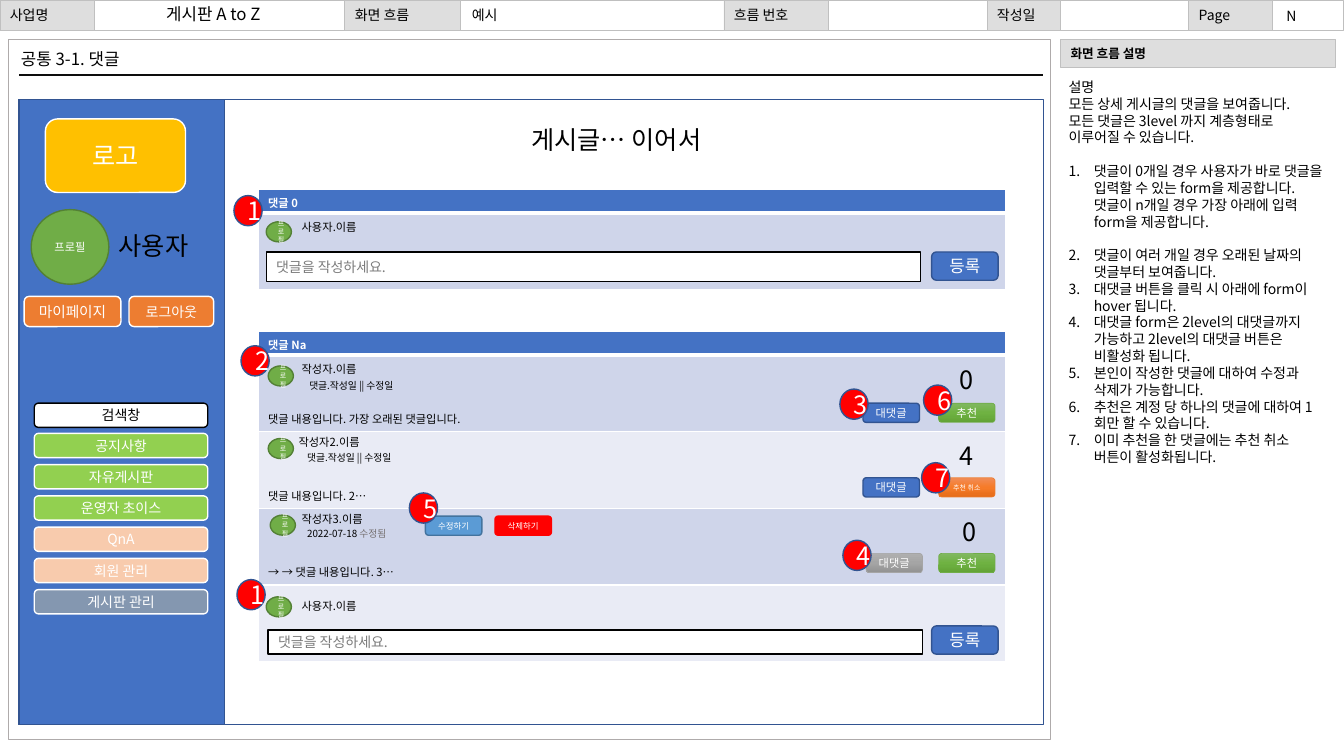
from lxml import etree
from pptx import Presentation
from pptx.dml.color import RGBColor
from pptx.enum.shapes import MSO_CONNECTOR, MSO_SHAPE
from pptx.enum.text import MSO_ANCHOR, PP_ALIGN
from pptx.oxml import parse_xml
from pptx.oxml.ns import nsdecls, qn
from pptx.util import Inches, Pt

RECT, ROUND, OVAL = MSO_SHAPE.RECTANGLE, MSO_SHAPE.ROUNDED_RECTANGLE, MSO_SHAPE.OVAL
STRAIGHT = MSO_CONNECTOR.STRAIGHT
LEFT, CENTER, RIGHT = PP_ALIGN.LEFT, PP_ALIGN.CENTER, PP_ALIGN.RIGHT
TOP, MIDDLE, BOTTOM = MSO_ANCHOR.TOP, MSO_ANCHOR.MIDDLE, MSO_ANCHOR.BOTTOM

BLACK = RGBColor(0x00, 0x00, 0x00)
WHITE = RGBColor(0xFF, 0xFF, 0xFF)
RULE = RGBColor(0x0D, 0x0D, 0x0D)
LABEL = RGBColor(0xDE, 0xDE, 0xDE)
LABEL_EDGE = RGBColor(0xC0, 0xC0, 0xC0)
BAR_EDGE = RGBColor(0xBF, 0xBF, 0xBF)
FRAME_EDGE = RGBColor(0xAF, 0xAB, 0xAB)
BLUE = RGBColor(0x44, 0x72, 0xC4)
NAVY = RGBColor(0x32, 0x54, 0x91)
GREEN = RGBColor(0x70, 0xAD, 0x47)
DARK_GREEN = RGBColor(0x53, 0x80, 0x35)
LIME = RGBColor(0x92, 0xD0, 0x50)
ORANGE = RGBColor(0xED, 0x7D, 0x31)
PEACH = RGBColor(0xF8, 0xCB, 0xAD)
SLATE = RGBColor(0x84, 0x97, 0xB0)
GOLD = RGBColor(0xFF, 0xC0, 0x00)
RED = RGBColor(0xFF, 0x00, 0x00)
SKY = RGBColor(0x5B, 0x9B, 0xD5)
SKY_EDGE = RGBColor(0x43, 0x73, 0x9E)
GRAY = RGBColor(0xA5, 0xA5, 0xA5)
HINT = RGBColor(0x7C, 0x7C, 0x7C)
EDITED = RGBColor(0x76, 0x71, 0x71)
BAND_DARK = RGBColor(0xCF, 0xD5, 0xEA)
BAND_LIGHT = RGBColor(0xE9, 0xEB, 0xF5)
GREEN_FADE = ["81B861", "6FB242", "62A336"]
ORANGE_FADE = ["F18C57", "F67B28", "E56C19"]
GRAY_FADE = ["AFAFAF", "A5A5A5", "939393"]


class Wireframe:
    font = "Noto Sans CJK KR"

    def __init__(self, slide):
        self.slide = slide

    def area(self, at):
        return [Inches(length) for length in at]

    def put(self, paragraph, text, size, color=BLACK, bold=False, align=LEFT):
        paragraph.alignment = align
        run = paragraph.add_run()
        run.text = text
        formats = {"name": self.font, "size": Pt(size), "bold": bold}
        for key, value in formats.items():
            setattr(run.font, key, value)
        run.font.color.rgb = color
        east_asian = etree.SubElement(run.font._element, qn("a:ea"))
        east_asian.set("typeface", self.font)

    def text(self, at, text, size, align=LEFT, anchor=TOP, shapes=None):
        frame = (shapes or self.slide.shapes).add_textbox(*self.area(at)).text_frame
        frame.word_wrap = True
        frame.vertical_anchor = anchor
        self.put(frame.paragraphs[0], text, size, align=align)
        return frame

    def shape(self, kind, at, fill, edge, text="", size=10, color=WHITE,
              weight=1, align=CENTER, bold=False, shapes=None):
        shape = (shapes or self.slide.shapes).add_shape(kind, *self.area(at))
        shape.shadow.inherit = False
        if isinstance(fill, list):
            self.fade(shape, fill)
        elif fill is None:
            shape.fill.background()
        else:
            shape.fill.solid()
            shape.fill.fore_color.rgb = fill
        shape.line.color.rgb = edge
        shape.line.width = Pt(weight)
        if text:
            shape.text_frame.vertical_anchor = MIDDLE
            self.put(shape.text_frame.paragraphs[0], text, size, color, bold, align)

    def fade(self, shape, stops):
        shape.fill.gradient()
        shape.fill.gradient_angle = 270
        stop_list = shape._element.spPr.find(qn("a:gradFill")).find(qn("a:gsLst"))
        for old in list(stop_list):
            stop_list.remove(old)
        for index, color in enumerate(stops):
            stop = etree.SubElement(stop_list, qn("a:gs"), pos=str(index * 50000))
            etree.SubElement(stop, qn("a:srgbClr"), val=color)

    def title(self, at, text, size):
        title = self.slide.shapes.title
        title.left, title.top, title.width, title.height = self.area(at)
        title.text_frame.vertical_anchor = MIDDLE
        paragraph = title.text_frame.paragraphs[0]
        paragraph.line_spacing = 0.9
        self.put(paragraph, text, size)

    def line(self, start, end, color, weight):
        line = self.slide.shapes.add_connector(STRAIGHT, *self.area(start + end))
        line.line.color.rgb = color
        line.line.width = Pt(weight)
        etree.SubElement(line._element.spPr, qn("a:effectLst"))

    def author(self, name_at, profile_at, name):
        shapes = self.slide.shapes.add_group_shape().shapes
        self.text((*name_at, 1.73, 0.24), name, 8, CENTER, shapes=shapes)
        self.shape(OVAL, (*profile_at, 0.25, 0.2), GREEN, DARK_GREEN, "프로필", 5, shapes=shapes)

    def comments(self, at, heading, rows):
        height = 0.23 + 0.76 * len(rows)
        table = self.slide.shapes.add_table(len(rows) + 1, 1, *self.area((*at, 7.41, height))).table
        for index, text in enumerate([heading, *rows]):
            header = index == 0
            table.rows[index].height = Inches(0.23 if header else 0.76)
            cell = table.cell(index, 0)
            cell.vertical_anchor = TOP if header else BOTTOM
            if text:
                self.put(cell.text_frame.paragraphs[0], text, 8, WHITE if header else BLACK, header)
            for side in ("L", "R", "T", "B"):
                thick = header and side == "B" or index == 1 and side == "T"
                cell._tc.get_or_add_tcPr().append(parse_xml(
                    f'<a:ln{side} {nsdecls("a")} w="{Pt(3 if thick else 1)}"><a:solidFill>'
                    f'<a:srgbClr val="{WHITE}"/></a:solidFill></a:ln{side}>'))
            cell.fill.solid()
            cell.fill.fore_color.rgb = BLUE if header else (BAND_LIGHT, BAND_DARK)[index % 2]

    def numbered(self, frame, items, size):
        for index, item in enumerate(items):
            paragraph = frame.add_paragraph()
            if index < 2:
                paragraph.space_before = Pt(12)
            self.put(paragraph, item, size)
            properties = paragraph._p.get_or_add_pPr()
            properties.set("marL", str(Inches(0.25)))
            properties.set("indent", str(-Inches(0.25)))
            etree.SubElement(properties, qn("a:buFont"), typeface="+mj-lt")
            etree.SubElement(properties, qn("a:buAutoNum"), type="arabicPeriod")


def main():
    deck = Presentation()
    deck.slide_width, deck.slide_height = Inches(13.33), Inches(7.5)
    page = Wireframe(deck.slides.add_slide(deck.slide_layouts[5]))

    page.shape(RECT, (-0.01, 0, 13.33, 0.3), None, BAR_EDGE, weight=0.5)
    for left, width, label in ((0, 0.94, "사업명"), (3.42, 1.15, "화면 흐름"), (9.79, 0.73, "작성일"),
                               (7.18, 1.04, "흐름 번호"), (11.79, 0.83, "Page")):
        page.shape(RECT, (left, 0, width, 0.3), LABEL, LABEL_EDGE, label, 10, BLACK, 0.5, LEFT)
    page.shape(RECT, (0.08, 0.39, 10.34, 6.95), None, FRAME_EDGE, weight=0.75)
    page.shape(RECT, (10.52, 0.39, 2.73, 0.28), LABEL, LABEL_EDGE, "화면 흐름 설명", 9, BLACK, 0.75, LEFT, True)
    page.text((12.66, 0, 0.62, 0.31), "N", 10, anchor=MIDDLE)
    page.title((4.58, 0, 2.6, 0.31), "예시", 10)

    description = page.text((10.5, 0.73, 2.73, 4.14), "설명", 10)
    for sentence in ("모든 상세 게시글의 댓글을 보여줍니다.",
                     "모든 댓글은 3level 까지 계층형태로 이루어질 수 있습니다."):
        page.put(description.add_paragraph(), sentence, 10)
    page.numbered(description, (
        "댓글이 0개일 경우 사용자가 바로 댓글을 입력할 수 있는 form을 제공합니다. "
        "댓글이 n개일 경우 가장 아래에 입력 form을 제공합니다.",
        "댓글이 여러 개일 경우 오래된 날짜의 댓글부터 보여줍니다.",
        "대댓글 버튼을 클릭 시 아래에 form이 hover 됩니다.",
        "대댓글 form은 2level의 대댓글까지 가능하고 2level의 대댓글 버튼은 비활성화 됩니다.",
        "본인이 작성한 댓글에 대하여 수정과 삭제가 가능합니다.",
        "추천은 계정 당 하나의 댓글에 대하여 1회만 할 수 있습니다.",
        "이미 추천을 한 댓글에는 추천 취소 버튼이 활성화됩니다."), 10)

    page.text((0.11, 0.43, 3.38, 0.3), "공통 3-1. 댓글", 12)
    page.line((0.19, 0.74), (10.34, 0.74), RULE, 1.5)
    page.text((1.55, -0.01, 1.25, 0.3), "게시판 A to Z", 12)

    page.shape(RECT, (0.19, 0.99, 10.16, 6.2), WHITE, NAVY)
    page.shape(RECT, (0.19, 0.99, 2.04, 6.2), BLUE, NAVY)
    page.text((1.08, 2.24, 0.96, 0.4), "사용자", 18)
    page.shape(OVAL, (0.31, 2.08, 0.77, 0.74), GREEN, DARK_GREEN, "프로필", 8)
    page.shape(ROUND, (1.28, 2.94, 0.84, 0.3), ORANGE, WHITE, "로그아웃", 10)
    page.shape(ROUND, (0.24, 2.94, 0.96, 0.3), ORANGE, WHITE, "마이페이지", 10.5)
    page.shape(ROUND, (0.45, 1.18, 1.39, 0.73), GOLD, WHITE, "로고", 18)
    page.shape(ROUND, (0.34, 4, 1.72, 0.24), WHITE, BLACK, "검색창", 10, BLACK)
    menu = (("공지사항", LIME), ("자유게시판", LIME), ("운영자 초이스", LIME),
            ("QnA", PEACH), ("회원 관리", PEACH), ("게시판 관리", SLATE))
    for index, (label, fill) in enumerate(menu):
        page.shape(ROUND, (0.34, 4.3 + 0.31 * index, 1.72, 0.24), fill, WHITE, label, 10)

    page.text((5.17, 1.18, 2.29, 0.4), "게시글… 이어서", 18)
    page.comments((2.56, 1.88), "댓글 0", [""])
    page.comments((2.56, 3.29), "댓글 Na", [
        "댓글 내용입니다. 가장 오래된 댓글입니다.", "댓글 내용입니다. 2…", "→ → 댓글 내용입니다. 3…", ""])
    for name_at, profile_at, name in (
            ((2.4, 2.14), (2.64, 2.2), "사용자.이름"), ((2.4, 3.55), (2.66, 3.63), "작성자.이름"),
            ((2.4, 4.27), (2.66, 4.35), "작성자2.이름"), ((2.43, 5.03), (2.68, 5.11), "작성자3.이름"),
            ((2.4, 5.9), (2.64, 5.92), "사용자.이름")):
        page.author(name_at, profile_at, name)
    for left, top in ((2.27, 3.72), (2.25, 4.43)):
        page.text((left, top, 1.73, 0.22), "댓글.작성일 || 수정일", 7, RIGHT)
    dates = page.text((2.2, 5.19, 1.73, 0.22), "2022-07-18 ", 7, RIGHT)
    page.put(dates.paragraphs[0], "수정됨", 7, EDITED, align=RIGHT)

    for left, top, height, button_top in ((2.64, 2.5, 0.29, 2.5), (2.66, 6.25, 0.24, 6.21)):
        page.shape(RECT, (left, top, 6.49, height), WHITE, BLACK, "댓글을 작성하세요.", 10, HINT, align=LEFT)
        page.shape(ROUND, (9.24, button_top, 0.66, 0.28), BLUE, NAVY, "등록", 12)
    for left, top, votes in ((9.42, 3.57, "0"), (9.42, 4.32, "4"), (9.45, 5.07, "0")):
        page.text((left, top, 0.34, 0.4), votes, 18)
    for left, top, fill, edge, label, size, weight in (
            (8.56, 4, BLUE, NAVY, "대댓글", 8, 1), (9.31, 4, GREEN_FADE, GREEN, "추천", 8, 0.5),
            (8.56, 4.74, BLUE, NAVY, "대댓글", 8, 1), (9.31, 4.74, ORANGE_FADE, ORANGE, "추천 취소", 5, 0.5),
            (8.59, 5.49, GRAY_FADE, GRAY, "대댓글", 8, 0.5), (9.31, 5.49, GREEN_FADE, GREEN, "추천", 8, 0.5),
            (4.22, 5.12, SKY, SKY_EDGE, "수정하기", 6, 1), (4.91, 5.12, RED, RED, "삭제하기", 6, 1)):
        page.shape(ROUND, (left, top, 0.56, 0.19), fill, edge, label, size, weight=weight)
    for left, top, number in ((2.32, 1.94, "1"), (2.35, 5.75, "1"), (2.39, 3.43, "2"), (8.33, 3.86, "3"),
                              (8.36, 5.36, "4"), (4.06, 4.89, "5"), (9.16, 3.82, "6"), (9.14, 4.59, "7")):
        page.shape(OVAL, (left, top, 0.28, 0.3), RED, NAVY, number, 18)

    deck.save("out.pptx")


if __name__ == "__main__":
    main()
